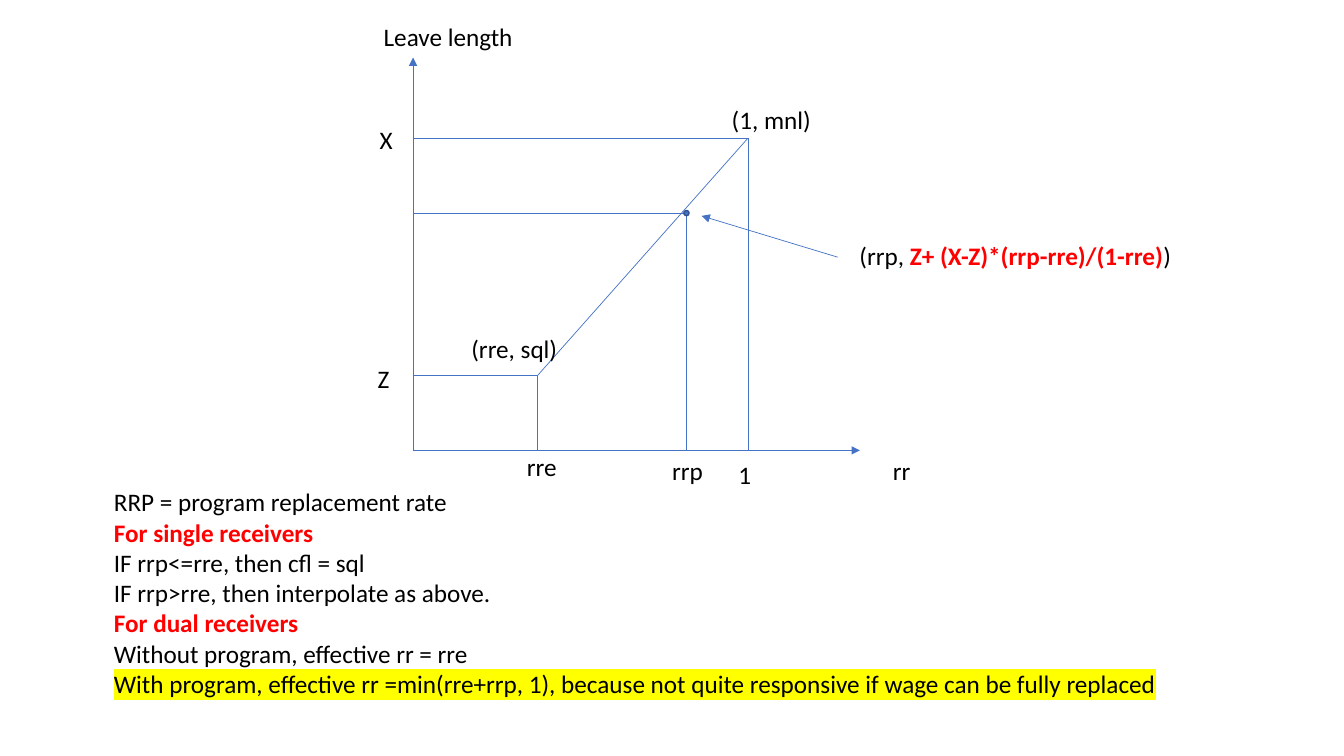
from lxml.etree import SubElement
from pptx import Presentation
from pptx.dml.color import RGBColor as Rgb
from pptx.enum.shapes import MSO_CONNECTOR as Connector, MSO_SHAPE as Shape
from pptx.enum.text import MSO_AUTO_SIZE as AutoSize
from pptx.oxml.ns import qn
from pptx.util import Cm, Pt

COLORS = {
    "line": "4472C4",
    "outline": "325491",
    "text": "000000",
    "key": "FF0000",
    "marker": "FFFF00",
}


class Diagram:
    font = "Calibri"
    size = Pt(18)
    line_width = Pt(0.5)

    def __init__(self, page):
        self.page = page

    def color(self, name):
        return Rgb.from_string(COLORS[name])

    def line(self, start, end, arrow=False):
        points = [Cm(value) for value in (*start, *end)]
        link = self.page.shapes.add_connector(Connector.STRAIGHT, *points)
        link.line.color.rgb = self.color("line")
        link.line.width = self.line_width
        if arrow:
            SubElement(link.line._get_or_add_ln(), qn("a:tailEnd"), type="triangle")
        SubElement(link._element.spPr, qn("a:effectLst"))

    def dot(self, center, diameter):
        left, top = (Cm(value - diameter / 2) for value in center)
        dot = self.page.shapes.add_shape(
            Shape.OVAL, left, top, Cm(diameter), Cm(diameter))
        dot.shadow.inherit = False
        dot.fill.solid()
        dot.fill.fore_color.rgb = self.color("line")
        dot.line.color.rgb = self.color("outline")
        dot.line.width = Pt(1)

    def text(self, left, top, width, paragraphs, height=1.03):
        box = self.page.shapes.add_textbox(Cm(left), Cm(top), Cm(width), Cm(height))
        frame = box.text_frame
        frame.word_wrap = True
        frame.auto_size = AutoSize.SHAPE_TO_FIT_TEXT
        for index, spans in enumerate(paragraphs):
            para = frame.add_paragraph() if index else frame.paragraphs[0]
            para.font.name = self.font
            para.font.size = self.size
            for content, style in spans:
                self.span(para, content, style)

    def span(self, para, content, style):
        span = para.add_run()
        span.text = content
        span.font.bold = style == "key"
        span.font.color.rgb = self.color("key" if style == "key" else "text")
        if style == "marked":
            highlight = SubElement(span.font._element, qn("a:highlight"))
            SubElement(highlight, qn("a:srgbClr"), val=COLORS["marker"])

    def label(self, left, top, content, width=8.1):
        self.text(left, top, width, [[(content, "plain")]])


def main():
    deck = Presentation()
    deck.slide_width, deck.slide_height = Cm(33.87), Cm(19.05)
    diagram = Diagram(deck.slides.add_slide(deck.slide_layouts[6]))

    axis_x, axis_y = 10.41, 11.35
    diagram.line((axis_x, axis_y), (axis_x, 1.45), arrow=True)
    diagram.line((axis_x, axis_y), (21.67, axis_y), arrow=True)

    low, middle, high = (13.54, 9.47), (17.3, 5.37), (18.85, 3.48)
    for x, y in (low, middle, high):
        diagram.line((axis_x, y), (x, y))
        diagram.line((x, y), (x, axis_y))
    diagram.line(low, high)
    diagram.dot(middle, 0.13)
    diagram.line((21.11, 6.48), (17.68, 5.44), arrow=True)

    diagram.label(22.25, 11.35, "rr", 1.98)
    diagram.label(9.42, 0.41, "Leave length", 4.11)
    for left, top, content in (
        (18.19, 2.51, "(1, mnl)"),
        (11.63, 8.28, "(rre, sql)"),
        (9.27, 9.04, "Z"),
        (9.32, 3.02, "X"),
        (13.03, 11.25, "rre"),
        (16.69, 11.35, "rrp"),
        (18.36, 11.46, "1"),
    ):
        diagram.label(left, top, content)

    diagram.text(21.41, 5.94, 9.98, [[
        ("(rrp, ", "plain"),
        ("Z+ (X-Z)*(rrp-rre)/(1-rre)", "key"),
        (")", "plain"),
    ]])

    notes = (
        ("RRP = program replacement rate", "plain"),
        ("For single receivers", "key"),
        ("IF rrp<=rre, then cfl = sql", "plain"),
        ("IF rrp>rre, then interpolate as above.", "plain"),
        ("For dual receivers", "key"),
        ("Without program, effective rr = rre", "plain"),
        ("With program, effective rr =min(rre+rrp, 1), because not quite "
         "responsive if wage can be fully replaced", "marked"),
    )
    diagram.text(2.62, 12.14, 28.04, [[note] for note in notes], height=5.64)

    deck.save("out.pptx")


if __name__ == "__main__":
    main()
